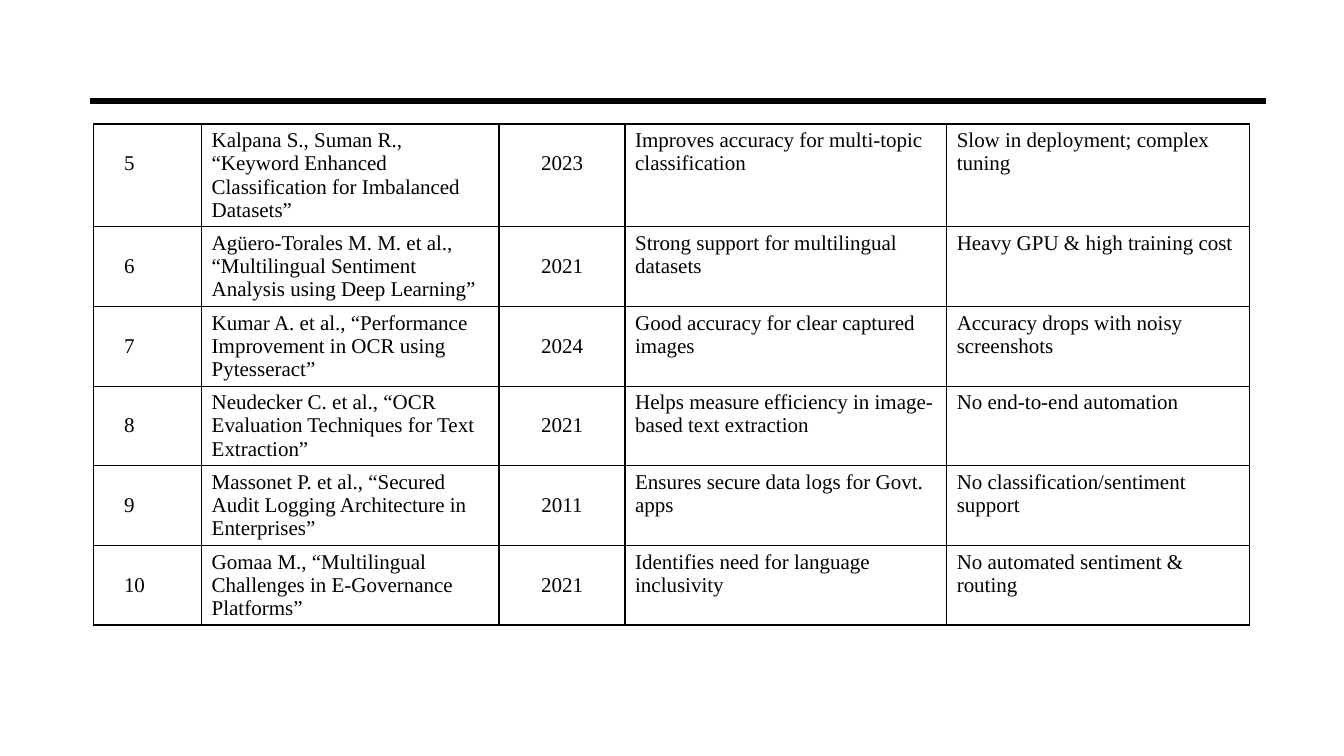
"""Build the literature survey table slide, entries 5 to 10."""
from lxml.etree import SubElement
from pptx import Presentation
from pptx.dml.color import RGBColor
from pptx.enum.shapes import MSO_CONNECTOR
from pptx.enum.text import PP_ALIGN
from pptx.oxml.ns import qn
from pptx.util import Inches, Pt

PAPERS = [
    ("5", "Kalpana S., Suman R., “Keyword Enhanced Classification for Imbalanced Datasets”", "2023",
     "Improves accuracy for multi-topic classification", "Slow in deployment; complex tuning"),
    ("6", "Agüero-Torales M. M. et al., “Multilingual Sentiment Analysis using Deep Learning”", "2021",
     "Strong support for multilingual datasets", "Heavy GPU & high training cost"),
    ("7", "Kumar A. et al., “Performance Improvement in OCR using Pytesseract”", "2024",
     "Good accuracy for clear captured images", "Accuracy drops with noisy screenshots"),
    ("8", "Neudecker C. et al., “OCR Evaluation Techniques for Text Extraction”", "2021",
     "Helps measure efficiency in image-based text extraction", "No end-to-end automation"),
    ("9", "Massonet P. et al., “Secured Audit Logging Architecture in Enterprises”", "2011",
     "Ensures secure data logs for Govt. apps", "No classification/sentiment support"),
    ("10", "Gomaa M., “Multilingual Challenges in E-Governance Platforms”", "2021",
     "Identifies need for language inclusivity", "No automated sentiment & routing"),
]
COL_WIDTHS = (1.07, 2.95, 1.25, 3.19, 3)
ROW_HEIGHTS = (1.02,) + (0.79,) * 5
NUMBER_COL, YEAR_COL = 0, 2
BLACK = RGBColor(0, 0, 0)
WHITE = RGBColor(255, 255, 255)
FONT = "Times New Roman"


def add_borders(cell):
    """Draw a thin black line on all four sides of a cell."""
    tcPr = cell._tc.get_or_add_tcPr()
    for side in ("lnL", "lnR", "lnT", "lnB"):
        ln = SubElement(tcPr, qn(f"a:{side}"), w=str(Pt(1)))
        fill = SubElement(ln, qn("a:solidFill"))
        SubElement(fill, qn("a:srgbClr"), val=str(BLACK))


def fill_cell(cell, text, col):
    """Write one table entry, with numbers and years on the second line."""
    add_borders(cell)
    cell.fill.solid()
    cell.fill.fore_color.rgb = WHITE
    p = cell.text_frame.paragraphs[0]
    if col in (NUMBER_COL, YEAR_COL):
        cell.margin_top = Inches(0.28)
    if col == NUMBER_COL:
        cell.margin_left = Inches(0.3)
    if col == YEAR_COL:
        p.alignment = PP_ALIGN.CENTER
    r = p.add_run()
    r.text = text
    r.font.name = FONT
    r.font.size = Pt(15)
    r.font.color.rgb = BLACK


def main():
    """Lay out the rule and the table, then save."""
    prs = Presentation()
    prs.slide_width, prs.slide_height = Inches(13.33), Inches(7.5)
    s = prs.slides.add_slide(prs.slide_layouts[6])

    rule = s.shapes.add_connector(MSO_CONNECTOR.STRAIGHT, Inches(0.89), Inches(1),
                                  Inches(12.56), Inches(1))
    rule.line.color.rgb = BLACK
    rule.line.width = Pt(4.5)
    SubElement(rule._element.spPr, qn("a:effectLst"))

    table = s.shapes.add_table(len(PAPERS), len(COL_WIDTHS), Inches(0.93), Inches(1.23),
                               Inches(sum(COL_WIDTHS)), Inches(sum(ROW_HEIGHTS))).table
    table.first_row = table.horz_banding = False
    for column, width in zip(table.columns, COL_WIDTHS):
        column.width = Inches(width)
    for i, (paper, height) in enumerate(zip(PAPERS, ROW_HEIGHTS)):
        table.rows[i].height = Inches(height)
        for j, text in enumerate(paper):
            fill_cell(table.cell(i, j), text, j)

    prs.save("out.pptx")


if __name__ == "__main__":
    main()
